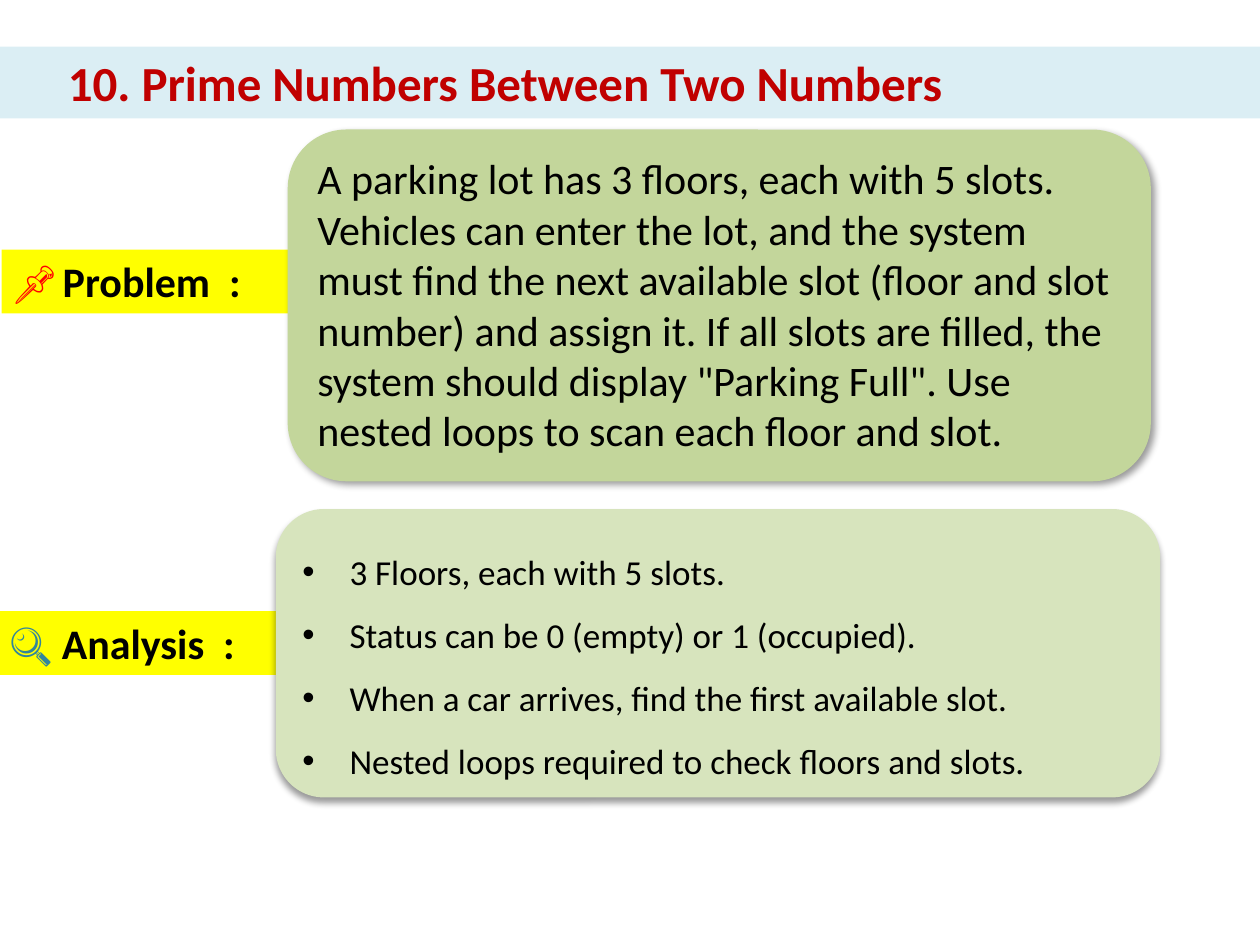
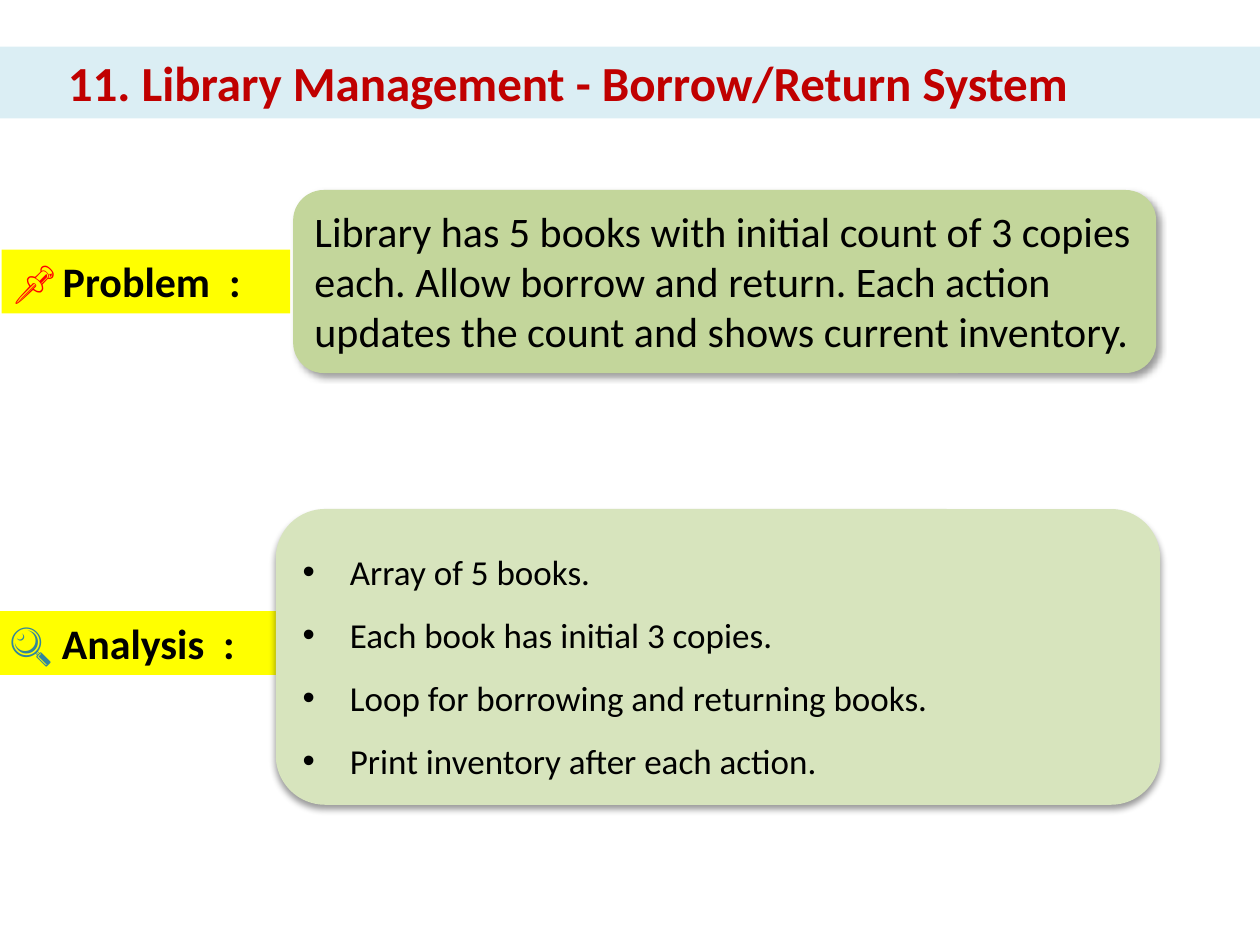
import pptx
import pptx.util
import pptx.dml.color
import pptx.enum.shapes
import pptx.enum.text
import pptx.oxml
import pptx.oxml.ns
import lxml.etree

Pt = pptx.util.Pt
SHAPES = pptx.enum.shapes.MSO_SHAPE
FONT = "Calibri"
COLORS = {
    "title_band": "DBEEF4",
    "title": "C00000",
    "label": "FFFF00",
    "pin": "FF0000",
    "lens": "31859C",
    "problem": "C3D69B",
    "analysis": "D7E4BD",
    "text": "000000",
}

# Boxes are (left, top, width, height) in points
TITLE_BOX = (0, 26.7, 720, 41)
PROBLEM_LABEL_BOX = (0.9, 142.7, 164.9, 36.4)
ANALYSIS_LABEL_BOX = (-1.4, 349.3, 159.1, 36.4)

EXERCISES = [
    {
        "title": "10. Prime Numbers Between Two Numbers",
        "problem": "A parking lot has 3 floors, each with 5 slots. Vehicles can "
                   "enter the lot, and the system must find the next available "
                   "slot (floor and slot number) and assign it. If all slots are "
                   "filled, the system should display \"Parking Full\". Use nested "
                   "loops to scan each floor and slot.",
        "problem_box": (164.4, 74, 493.2, 201),
        "analysis": [
            "3 Floors, each with 5 slots.",
            "Status can be 0 (empty) or 1 (occupied).",
            "When a car arrives, find the first available slot.",
            "Nested loops required to check floors and slots.",
        ],
        "analysis_box": (157.6, 290.9, 505.4, 164.8),
    },
    {
        "title": "11. Library Management - Borrow/Return System",
        "problem": "Library has 5 books with initial count of 3 copies each. Allow "
                   "borrow and return. Each action updates the count and shows "
                   "current inventory.",
        "problem_box": (167.5, 108.6, 493.2, 104.6),
        "analysis": [
            "Array of 5 books.",
            "Each book has initial 3 copies.",
            "Loop for borrowing and returning books.",
            "Print inventory after each action.",
        ],
        "analysis_box": (157.6, 290.9, 505.4, 169),
    },
]


def rgb(name):
    return pptx.dml.color.RGBColor.from_string(COLORS[name])


def set_font(font, size, color, bold=False):
    font.name, font.size, font.bold = FONT, Pt(size), bold
    font.color.rgb = rgb(color)


def add_panel(slide, box, fill, kind=SHAPES.RECTANGLE):
    """Add a borderless filled shape with left-aligned text from the top."""
    panel = slide.shapes.add_shape(kind, *map(Pt, box))
    panel.shadow.inherit = False
    panel.fill.solid()
    panel.fill.fore_color.rgb = rgb(fill)
    panel.line.fill.background()
    frame = panel.text_frame
    frame.word_wrap = True
    frame.auto_size = pptx.enum.text.MSO_AUTO_SIZE.SHAPE_TO_FIT_TEXT
    frame.vertical_anchor = pptx.enum.text.MSO_ANCHOR.TOP
    frame.paragraphs[0].alignment = pptx.enum.text.PP_ALIGN.LEFT
    return panel


def add_shadow(panel, degrees):
    effects = panel._element.spPr.find(pptx.oxml.ns.qn("a:effectLst"))
    effects.append(pptx.oxml.parse_xml(
        f'<a:outerShdw {pptx.oxml.ns.nsdecls("a")} blurRad="{Pt(4)}" '
        f'dist="{Pt(3)}" dir="{degrees * 60000}" rotWithShape="0">'
        f'<a:srgbClr val="{COLORS["text"]}"><a:alpha val="40000"/></a:srgbClr>'
        '</a:outerShdw>'))


def add_bullet(paragraph, indent):
    properties = paragraph._p.get_or_add_pPr()
    properties.set("marL", str(Pt(indent)))
    properties.set("indent", str(-Pt(indent)))
    for tag, key, value in (("a:buFont", "typeface", "Arial"),
                            ("a:buChar", "char", "•")):
        lxml.etree.SubElement(properties, pptx.oxml.ns.qn(tag)).set(key, value)


def add_title(slide, box, title):
    band = add_panel(slide, box, "title_band")
    band.text_frame.margin_left = Pt(38.8)
    paragraph = band.text_frame.paragraphs[0]
    paragraph.text = title
    set_font(paragraph.font, 28, "title", bold=True)


def add_label(slide, box, runs):
    """Add a yellow label; each run is (text, size, colour, bold)."""
    paragraph = add_panel(slide, box, "label").text_frame.paragraphs[0]
    for text, size, color, bold in runs:
        run = paragraph.add_run()
        run.text = text
        set_font(run.font, size, color, bold)


def add_problem(slide, box, problem):
    panel = add_panel(slide, box, "problem", SHAPES.ROUNDED_RECTANGLE)
    add_shadow(panel, 45)
    paragraph = panel.text_frame.paragraphs[0]
    paragraph.text = problem
    set_font(paragraph.font, 24, "text")


def add_analysis(slide, box, points):
    panel = add_panel(slide, box, "analysis", SHAPES.ROUNDED_RECTANGLE)
    add_shadow(panel, 90)
    panel.text_frame.text = "\n".join(points)
    for paragraph in panel.text_frame.paragraphs:
        paragraph.alignment = pptx.enum.text.PP_ALIGN.LEFT
        paragraph.line_spacing = 1.5
        add_bullet(paragraph, 27)
        set_font(paragraph.font, 20, "text")


def add_exercise(presentation, exercise):
    slide = presentation.slides.add_slide(presentation.slide_layouts[6])
    add_title(slide, TITLE_BOX, exercise["title"])
    # Problem statement
    add_label(slide, PROBLEM_LABEL_BOX, [("📌", 24, "pin", False),
                                         (" ", 18, "text", False),
                                         ("Problem  :", 24, "text", True)])
    add_problem(slide, exercise["problem_box"], exercise["problem"])
    # Analysis points
    add_label(slide, ANALYSIS_LABEL_BOX, [("🔍", 24, "lens", True),
                                          (" Analysis  :", 24, "text", True)])
    add_analysis(slide, exercise["analysis_box"], exercise["analysis"])


def main():
    presentation = pptx.Presentation()
    presentation.slide_width, presentation.slide_height = Pt(720), Pt(540)
    for exercise in EXERCISES:
        add_exercise(presentation, exercise)
    presentation.save("out.pptx")


if __name__ == "__main__":
    main()
